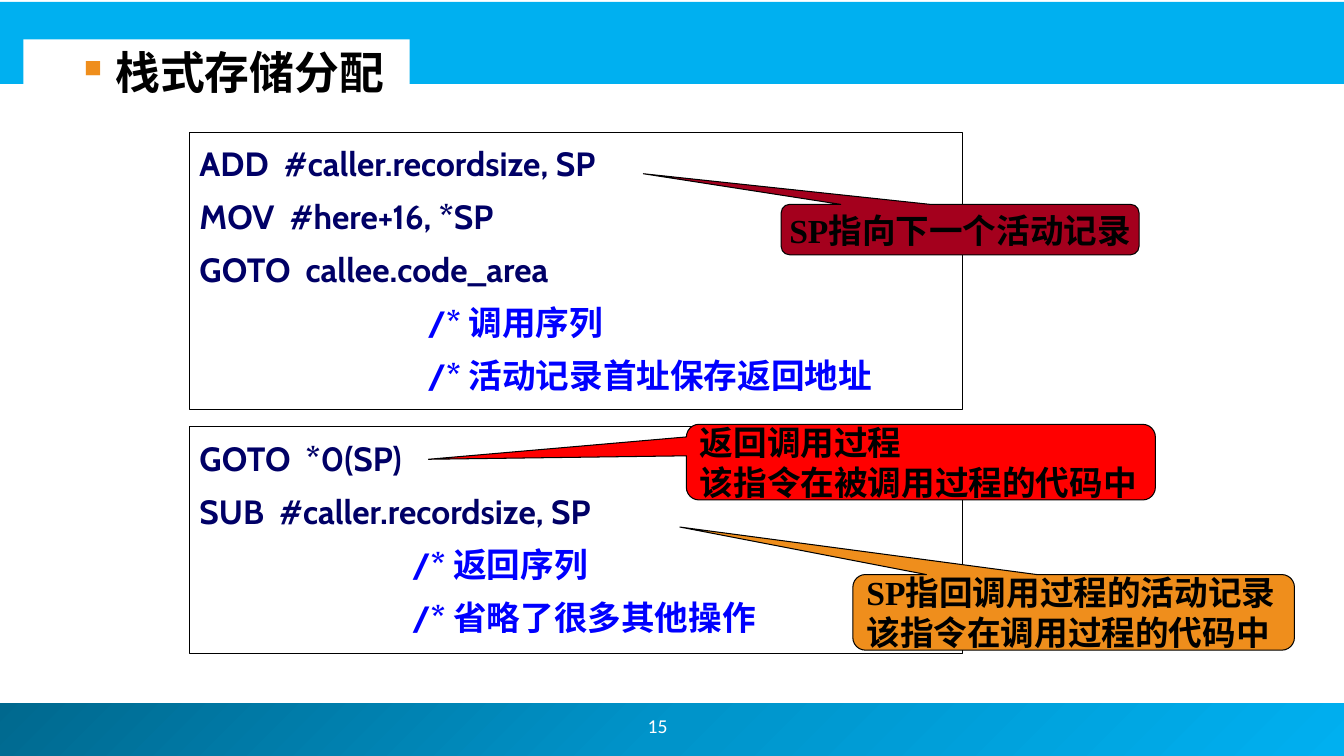
"""Builds the slide on stack storage allocation with code boxes and callouts."""
from copy import deepcopy

from lxml import etree
from pptx import Presentation
from pptx import util as u
from pptx.dml.color import RGBColor
from pptx.enum import shapes, text
from pptx.oxml import ns

COLOURS = {
    "sky": "00B0F0", "mid": "0094CA", "deep": "00688E", "white": "FFFFFF",
    "black": "000000", "code": "000066", "comment": "0000FF",
    "crimson": "A4001D", "red": "FF0000", "orange": "EF8E1C",
}


def add_block(kind, box, fill, outlined=False):
    block = slide.shapes.add_shape(kind, *[u.Pt(length) for length in box])
    block.shadow.inherit = False
    block.fill.solid()
    block.fill.fore_color.rgb = RGBColor.from_string(COLOURS[fill])
    if outlined:
        block.line.color.rgb = RGBColor.from_string(COLOURS["black"])
        block.line.width = u.Pt(0.75)
    else:
        block.line.fill.background()
    block.text_frame.vertical_anchor = text.MSO_ANCHOR.TOP
    return block


def style(paragraph, size, font, colour, align, bold=True):
    paragraph.alignment = align
    for run in paragraph.runs:
        run.font.size = u.Pt(size)
        run.font.name = font
        run.font.bold = bold
        run.font.color.rgb = RGBColor.from_string(COLOURS[colour])


deck = Presentation()
deck.slide_width, deck.slide_height = u.Pt(960), u.Pt(540)
slide = deck.slides.add_slide(deck.slide_layouts[6])
RECT = shapes.MSO_SHAPE.RECTANGLE
CALLOUT = shapes.MSO_SHAPE.ROUNDED_RECTANGULAR_CALLOUT
LEFT, CENTER, JUSTIFY = text.PP_ALIGN.LEFT, text.PP_ALIGN.CENTER, text.PP_ALIGN.JUSTIFY

footer = add_block(RECT, (-3.6, 502.5, 964, 37.5), "deep")
footer.fill.gradient()
footer.fill.gradient_angle = 315
first_stop = footer.fill._fill._gradFill.gsLst[0]
first_stop.addnext(deepcopy(first_stop))
for stop, position, colour in zip(footer.fill.gradient_stops, (0, 0.5, 1), ("deep", "mid", "sky")):
    stop.position = position
    stop.color.rgb = RGBColor.from_string(COLOURS[colour])

add_block(RECT, (-1.4, 1.4, 962, 58.5), "sky")

page_number = slide.shapes.add_textbox(u.Pt(365.8), u.Pt(500.5), u.Pt(208), u.Pt(36))
page_number.text_frame.word_wrap = True
page_number.text_frame.vertical_anchor = text.MSO_ANCHOR.MIDDLE
page_number.text_frame.text = "15"
style(page_number.text_frame.paragraphs[0], 14, "Calibri", "white", CENTER, bold=False)

code_boxes = [
    (304.6, 162, 152, ["GOTO  *0(SP)", "SUB  #caller.recordsize, SP",
                       "/* 返回序列", "/* 省略了很多其他操作"]),
    (94.4, 198, 163, ["ADD  #caller.recordsize, SP", "MOV  #here+16, *SP",
                      "GOTO  callee.code_area", "/* 调用序列",
                      "/* 活动记录首址保存返回地址"]),
]
for top, height, comment_indent, lines in code_boxes:
    code_box = add_block(RECT, (135.4, top, 552.3, height), "white", outlined=True)
    code_box.text_frame.text = "\n".join(lines)
    for instruction in code_box.text_frame.paragraphs:
        is_comment = instruction.text.startswith("/*")
        style(instruction, 24, "Cabin", "comment" if is_comment else "code", JUSTIFY)
        instruction.line_spacing = 1.15
        instruction.space_before = u.Pt(4.8)
        if is_comment:
            instruction._p.get_or_add_pPr().set("marL", str(u.Pt(comment_indent)))

callouts = [
    ((558, 146, 255.6, 36), (-0.885, -1.108), "crimson", CENTER, ["SP指向下一个活动记录"]),
    ((490.3, 303.1, 335, 54), (-1.05, -0.038), "red", LEFT,
     ["返回调用过程", "该指令在被调用过程的代码中"]),
    ((609.2, 410.4, 315.4, 54), (-0.892, -1.129), "orange", LEFT,
     ["SP指回调用过程的活动记录", "该指令在调用过程的代码中"]),
]
for box, tip, fill, align, lines in callouts:
    callout = add_block(CALLOUT, box, fill, outlined=True)
    callout.adjustments[0], callout.adjustments[1] = tip
    callout.text_frame.word_wrap = False
    callout.text_frame.vertical_anchor = text.MSO_ANCHOR.MIDDLE
    callout.text_frame.text = "\n".join(lines)
    for remark in callout.text_frame.paragraphs:
        style(remark, 24, "Times New Roman", "black", align)

title = add_block(RECT, (16.8, 28.1, 275.8, 41.8), "white")
title.text_frame.text = "栈式存储分配"
heading = title.text_frame.paragraphs[0]
style(heading, 32, "Cabin", "black", LEFT)
heading.space_before = u.Pt(6.4)
heading_format = heading._p.get_or_add_pPr()
heading_format.set("marL", str(u.Pt(58.5)))
heading_format.set("indent", str(u.Pt(-22.5)))
bullet_colour = etree.SubElement(heading_format, ns.qn("a:buClr"))
etree.SubElement(bullet_colour, ns.qn("a:srgbClr"), val=COLOURS["orange"])
etree.SubElement(heading_format, ns.qn("a:buSzPct"), val="55000")
etree.SubElement(heading_format, ns.qn("a:buChar"), char="■")

deck.save("out.pptx")
